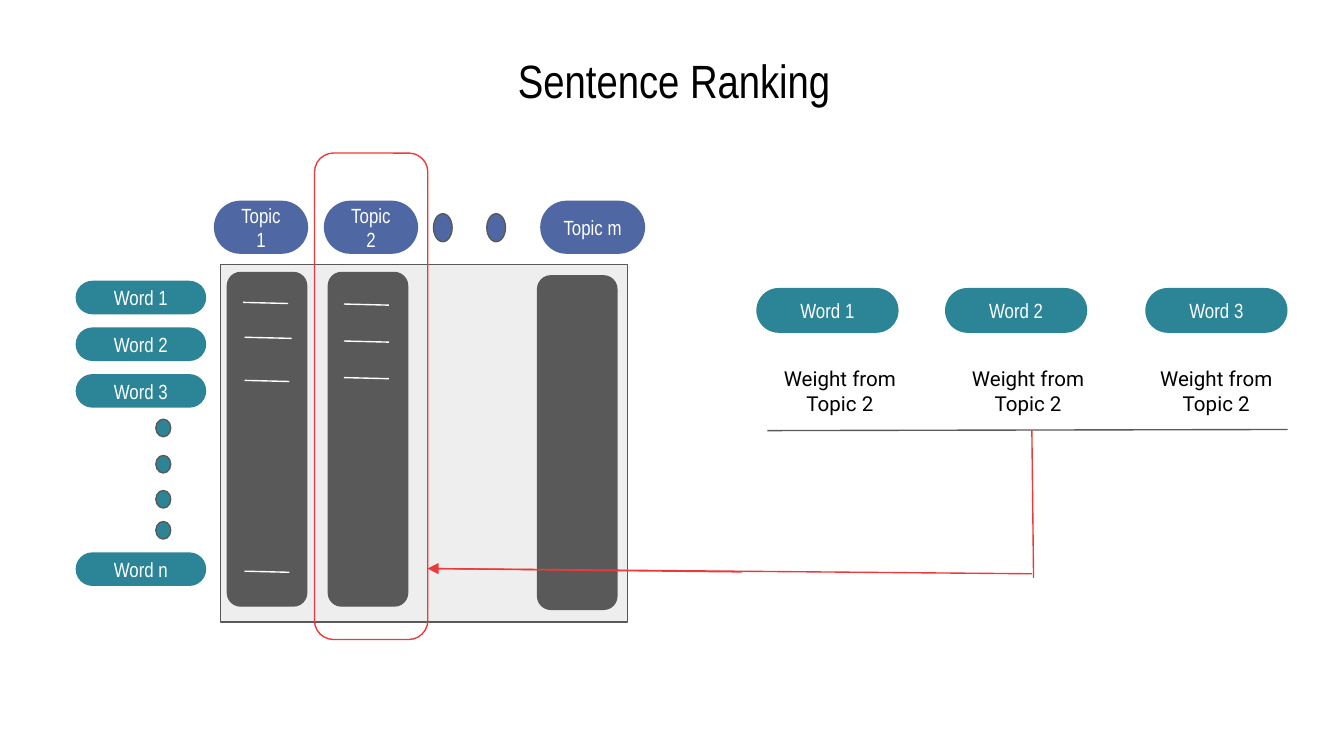
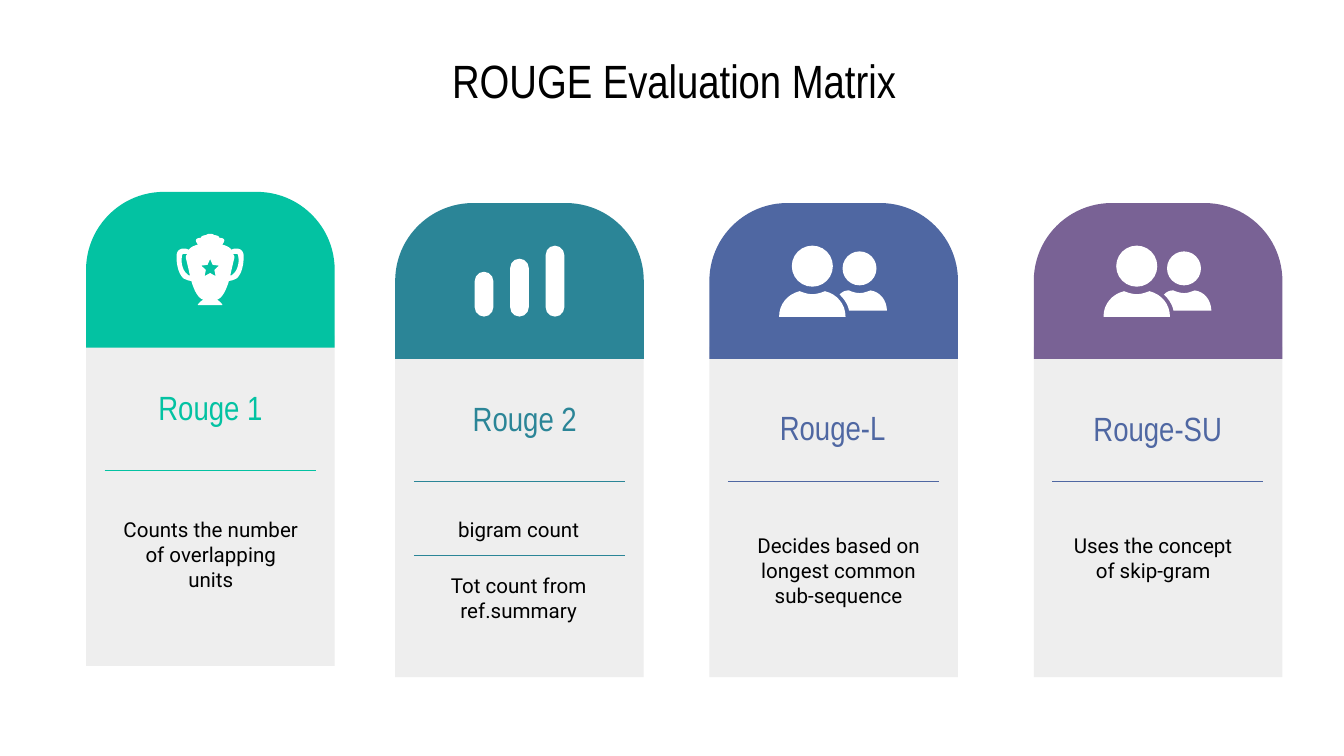
from dataclasses import dataclass
from math import cos, pi, sin

from lxml.etree import SubElement
from pptx import Presentation
from pptx.dml.color import RGBColor
from pptx.enum.shapes import MSO_CONNECTOR as Link, MSO_SHAPE as Form
from pptx.enum.text import MSO_ANCHOR as Anchor, MSO_AUTO_SIZE as AutoSize, PP_ALIGN as Align
from pptx.oxml.ns import qn
from pptx.util import Pt

Point = tuple[float, float]
Curve = list[Point]  # start point, then three points for each cubic segment


@dataclass(frozen=True)
class Theme:
    narrow: str = "Arial Narrow"
    plain: str = "Roboto"
    black: str = "000000"
    white: str = "FFFFFF"
    pale: str = "EEEEEE"
    gray: str = "595959"
    green: str = "03C2A2"
    teal: str = "2B8597"
    blue: str = "4F67A2"
    purple: str = "796295"
    red: str = "EC3A3B"
    title_size: float = 25
    heading_size: float = 18
    text_size: float = 11
    hairline: float = 0.75


THEME = Theme()
FRAME_FORMAT = {
    "word_wrap": True,
    "auto_size": AutoSize.NONE,
    "margin_left": Pt(7.2),
    "margin_right": Pt(7.2),
    "margin_top": Pt(7.2),
    "margin_bottom": Pt(7.2),
}


@dataclass(frozen=True)
class Box:
    left: float
    top: float
    width: float
    height: float

    def lengths(self) -> list[Pt]:
        return [Pt(v) for v in (self.left, self.top, self.width, self.height)]


@dataclass(frozen=True)
class Block:
    box: Box
    form: Form
    fill: str | None = None
    line: str | None = None
    rounding: tuple[float, ...] = ()
    label: str = ""


@dataclass(frozen=True)
class Stroke:
    start: Point
    end: Point
    color: str
    arrow: bool = False


@dataclass(frozen=True)
class Card:
    left: float
    top: float
    color: str
    accent: str
    icon: str
    heading: str
    heading_at: Point  # relative to the card
    body: tuple[str, ...]
    body_box: Box


# --- Drawing helpers ---

def write(frame, texts: tuple[str, ...], size: float, font: str, color: str,
          anchor: Anchor = Anchor.MIDDLE, gap: float = 0) -> None:
    for name, value in {**FRAME_FORMAT, "vertical_anchor": anchor}.items():
        setattr(frame, name, value)
    for index, text in enumerate(texts):
        paragraph = frame.add_paragraph() if index else frame.paragraphs[0]
        paragraph.alignment = Align.CENTER
        paragraph.space_before = Pt(gap if index else 0)
        run = paragraph.add_run()
        run.text = text
        for name, value in {"size": Pt(size), "name": font}.items():
            setattr(run.font, name, value)
        run.font.color.rgb = RGBColor.from_string(color)


def paint(shape, fill: str | None, line: str | None) -> None:
    shape.shadow.inherit = False
    if fill:
        shape.fill.solid()
        shape.fill.fore_color.rgb = RGBColor.from_string(fill)
    else:
        shape.fill.background()
    if line:
        shape.line.width = Pt(THEME.hairline)
        shape.line.color.rgb = RGBColor.from_string(line)
    else:
        shape.line.fill.background()


def draw_block(slide, block: Block) -> None:
    shape = slide.shapes.add_shape(block.form, *block.box.lengths())
    for index, value in enumerate(block.rounding):
        shape.adjustments[index] = value
    paint(shape, block.fill, block.line)
    if block.label:
        write(shape.text_frame, (block.label,), THEME.text_size, THEME.narrow, THEME.white)


def draw_stroke(slide, stroke: Stroke) -> None:
    ends = [Pt(v) for v in (*stroke.start, *stroke.end)]
    connector = slide.shapes.add_connector(Link.STRAIGHT, *ends)
    connector.line.width = Pt(THEME.hairline)
    connector.line.color.rgb = RGBColor.from_string(stroke.color)
    properties = connector.element.spPr
    if stroke.arrow:
        SubElement(properties.find(qn("a:ln")), qn("a:tailEnd"), type="triangle")
    SubElement(properties, qn("a:effectLst"))


def draw_text(slide, box: Box, texts: tuple[str, ...], size: float, font: str, color: str,
              anchor: Anchor = Anchor.TOP, gap: float = 0) -> None:
    frame = slide.shapes.add_textbox(*box.lengths()).text_frame
    write(frame, texts, size, font, color, anchor, gap)


def flatten(curve: Curve, steps: int = 8) -> list[Point]:
    points = [curve[0]]
    for i in range(0, len(curve) - 1, 3):
        a, b, c, d = curve[i:i + 4]
        for t in (step / steps for step in range(1, steps + 1)):
            s = 1 - t
            weights = (s ** 3, 3 * s * s * t, 3 * s * t * t, t ** 3)
            points.append(tuple(sum(w * p[k] for w, p in zip(weights, (a, b, c, d)))
                                for k in (0, 1)))
    return points


def draw_outline(slide, contours: list[list[Point]], left: float, top: float, fill: str) -> None:
    placed = [[(Pt(left + x), Pt(top + y)) for x, y in contour] for contour in contours]
    builder = slide.shapes.build_freeform(*placed[0][0], scale=1.0)
    for index, contour in enumerate(placed):
        if index:
            builder.move_to(*contour[0])
        builder.add_line_segments(contour[1:], close=True)
    paint(builder.convert_to_shape(), fill, None)


def add_titled_slide(deck, title: str):
    slide = deck.slides.add_slide(deck.slide_layouts[5])
    heading = slide.shapes.title
    heading.left, heading.top, heading.width, heading.height = Box(38.2, 23.8, 645.8, 38.2).lengths()
    write(heading.text_frame, (title,), THEME.title_size, THEME.narrow, THEME.black)
    return slide


# --- Sentence Ranking ---

def pill(left: float, top: float, width: float, height: float, fill: str, label: str) -> Block:
    return Block(Box(left, top, width, height), Form.ROUNDED_RECTANGLE, fill,
                 rounding=(0.5,), label=label)


def dot(left: float, top: float, width: float, height: float, fill: str) -> Block:
    return Block(Box(left, top, width, height), Form.OVAL, fill, THEME.gray)


def column(left: float, top: float, width: float, height: float,
           fill: str | None, line: str) -> Block:
    return Block(Box(left, top, width, height), Form.ROUNDED_RECTANGLE, fill, line, (0.167,))


def build_ranking(deck) -> None:
    slide = add_titled_slide(deck, "Sentence Ranking")

    # Word by topic matrix
    matrix = Block(Box(118.3, 141.8, 218, 191.5), Form.RECTANGLE, THEME.pale, THEME.gray)
    word_rows = [(f"Word {i + 1}", 150.4 + 25 * i) for i in range(3)] + [("Word n", 295.9)]
    words = [pill(40.5, top, 70, 18, THEME.teal, label) for label, top in word_rows]
    word_dots = [dot(83.5, top, 8, 9.4, THEME.teal) for top in (224.6, 244, 262.8, 279.4)]
    topics = [pill(left, 107.5, width, 28.5, THEME.blue, label) for label, left, width in
              (("Topic 1", 114.6, 50.5), ("Topic 2", 173.5, 50.5), ("Topic m", 289.4, 56.2))]
    topic_dots = [dot(left, 114.5, 10, 15, THEME.blue) for left in (232.2, 260.8)]
    columns = [column(left, top, 42.5, 178.7, THEME.gray, THEME.gray)
               for left, top in ((121.8, 146), (175.9, 146), (288, 147.8))]
    for block in [matrix, *words, *word_dots, *topics, *topic_dots, *columns]:
        draw_block(slide, block)

    # Weights inside the first two topics
    for left, top, width in ((130.3, 162, 24), (131, 180.7, 25.2), (131, 203.8, 24), (131, 306, 24),
                             (184.3, 162.9, 24), (184.3, 182.7, 24), (184.3, 202.3, 24)):
        draw_stroke(slide, Stroke((left, top), (left + width, top + 0.6), THEME.white))

    # Sentence words and their weights
    for index, left in enumerate((405.2, 506.3, 613.6)):
        draw_block(slide, pill(left, 154.3, 76.2, 24, THEME.teal, f"Word {index + 1}"))
    draw_stroke(slide, Stroke((411.1, 230.7), (689.8, 230.1), THEME.gray))
    for index in range(3):
        draw_text(slide, Box(406.8 + 100.8 * index, 189.1, 86.4, 41), ("Weight from Topic 2",),
                  THEME.text_size, THEME.plain, THEME.black)

    # Chosen topic and the path that leads to it
    draw_block(slide, column(168.5, 82, 60.7, 260.6, None, THEME.red))
    for stroke in (Stroke((229.7, 304.6), (553, 307.4), THEME.red),
                   Stroke((553.7, 309.6), (552.8, 230.6), THEME.red),
                   Stroke((397.4, 306.4), (229, 304.6), THEME.red, arrow=True)):
        draw_stroke(slide, stroke)


# --- ROUGE Evaluation Matrix ---

# Half of the cup, from its top centre to its foot
CUP: Curve = [
    (0, 0), (0.7, 0), (1.4, 0), (2.2, 0.7), (3.6, 0.7), (5, 1.4), (5, 2.2),
    (5.8, 2.2), (9.4, 2.2), (6.5, 5.8), (6.5, 5.8), (10.1, 6.5), (11.5, 8.6),
    (12.2, 7.9), (13.7, 7.9), (14.4, 7.9), (16.6, 8), (18, 9.4), (18, 12.2),
    (18, 15.8), (17.3, 20.9), (14.4, 23.8), (13, 24.5), (11.5, 25.2), (10.1, 25.2),
    (8.6, 30.2), (6.5, 34.6), (3.6, 35.3), (4.3, 35.3), (7.2, 38.2), (6.5, 38.2)]
HANDLE: Curve = [
    (14.4, 10.8), (14.4, 10.8), (15.1, 10.8), (15.1, 12.2), (15.8, 15.8), (14.4, 20.2),
    (12.2, 21.6), (11.5, 22.3), (11.5, 22.3), (10.8, 22.3), (11.5, 19.4), (12.2, 15.8),
    (13, 13), (13, 12.2), (13, 11.5), (12.2, 10.8)]
FRONT_BUST: Curve = [
    (48.4, 47.2), (42, 48.8), (37.4, 54), (37.4, 61), (37.4, 61), (73, 61), (73, 61),
    (73, 54), (68.4, 48.8), (62, 47.2), (60, 48), (57.6, 48.8), (55.2, 48.8),
    (52.8, 48.8), (50.4, 48), (48.4, 47.2)]
REAR_BUST: Curve = [
    (74.9, 46.8), (72.7, 46.8), (71.3, 47.5), (69.8, 49), (72, 51.1), (74.2, 54), (74.9, 57.6),
    (74.9, 57.6), (95.2, 57.6), (95.2, 57.6), (95, 51.8), (91.4, 47.5), (86.4, 46.8),
    (84.2, 47.5), (82.8, 48.2), (80.6, 48.2), (78.5, 48.2), (76.3, 47.5), (74.9, 46.8)]


def mirror(points: list[Point]) -> list[Point]:
    return [(-x, y) for x, y in reversed(points)]


def draw_trophy(slide, left: float, top: float) -> None:
    cup, handle = flatten(CUP), flatten(HANDLE)
    star = [(radius * sin(i * pi / 5), 18.6 - radius * cos(i * pi / 5))
            for i, radius in enumerate([5, 2.4] * 5)]
    draw_outline(slide, [cup + mirror(cup), handle, mirror(handle), star],
                 left + 66.5, top + 22.5, THEME.white)


def draw_bars(slide, left: float, top: float) -> None:
    for index, height in enumerate((24, 31, 38)):
        draw_block(slide, pill(left + 42.6 + 19 * index, top + 60.8 - height,
                               10, height, THEME.white, ""))


def draw_people(slide, left: float, top: float) -> None:
    for x, y, size in ((44.2, 22.8, 22), (71.4, 25.9, 18.2)):
        draw_block(slide, Block(Box(left + x, top + y, size, size), Form.OVAL, THEME.white))
    for bust in (FRONT_BUST, REAR_BUST):
        draw_outline(slide, [flatten(bust)], left, top, THEME.white)


ICONS = {"trophy": draw_trophy, "bars": draw_bars, "people": draw_people}
CARDS = [
    Card(46.1, 102.8, THEME.green, THEME.green, "trophy", "Rouge 1", (20.2, 93.8),
         ("Counts the number of overlapping units",), Box(59, 270, 108, 54.7)),
    Card(211.7, 108.8, THEME.teal, THEME.teal, "bars", "Rouge 2", (23, 93.6),
         ("bigram count", "Tot count from ref.summary"), Box(223.9, 270, 108, 71.3)),
    Card(380, 108.8, THEME.blue, THEME.blue, "people", "Rouge-L", (19.6, 98.6),
         ("Decides based on longest common sub-sequence",), Box(395.3, 278.6, 108, 54.7)),
    Card(553.8, 108.8, THEME.purple, THEME.blue, "people", "Rouge-SU", (20, 99.2),
         ("Uses the concept of skip-gram",), Box(563.8, 278.6, 108, 41)),
]


def draw_card(slide, card: Card) -> None:
    left, top = card.left, card.top
    for block in (Block(Box(left, top + 77, 133.2, 177), Form.RECTANGLE, THEME.pale),
                  Block(Box(left, top, 133.2, 83.5), Form.ROUND_2_SAME_RECTANGLE, card.color,
                        rounding=(0.5, 0))):
        draw_block(slide, block)
    draw_stroke(slide, Stroke((left + 10, top + 149.2), (left + 123, top + 149.2), card.accent))
    ICONS[card.icon](slide, left, top)
    x, y = card.heading_at
    draw_text(slide, Box(left + x, top + y, 92.9, 43.2), (card.heading,),
              THEME.heading_size, THEME.narrow, card.accent, Anchor.MIDDLE)
    draw_text(slide, card.body_box, card.body, THEME.text_size, THEME.plain, THEME.black, gap=16.5)


def build_evaluation(deck) -> None:
    slide = add_titled_slide(deck, "ROUGE Evaluation Matrix")
    for card in CARDS:
        draw_card(slide, card)
    # Fraction bar between the two counts
    draw_stroke(slide, Stroke((221.8, 297.5), (334.8, 297.5), THEME.teal))


def main() -> None:
    deck = Presentation()
    deck.slide_width, deck.slide_height = Pt(720), Pt(405)
    build_ranking(deck)
    build_evaluation(deck)
    deck.save("out.pptx")


if __name__ == "__main__":
    main()
